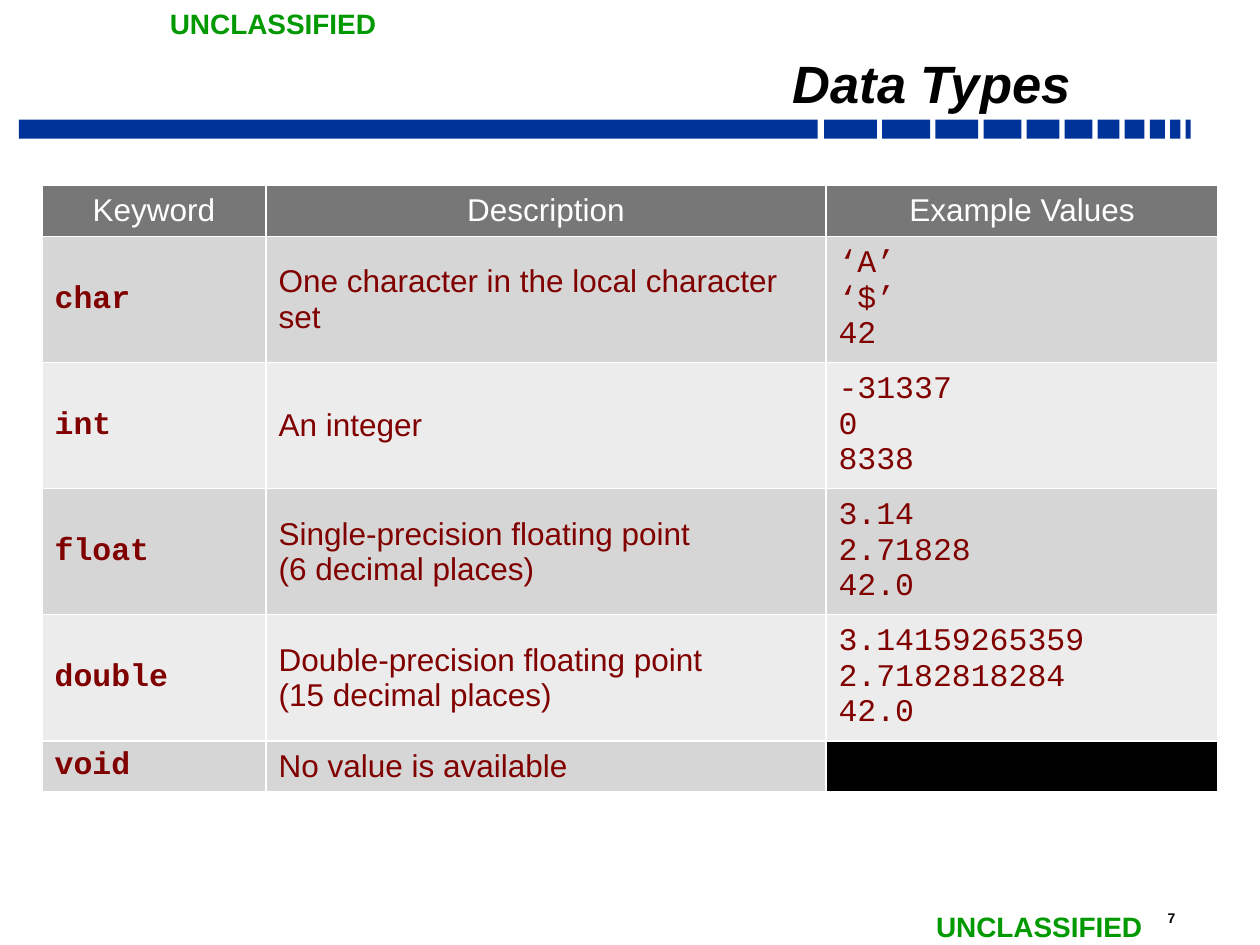
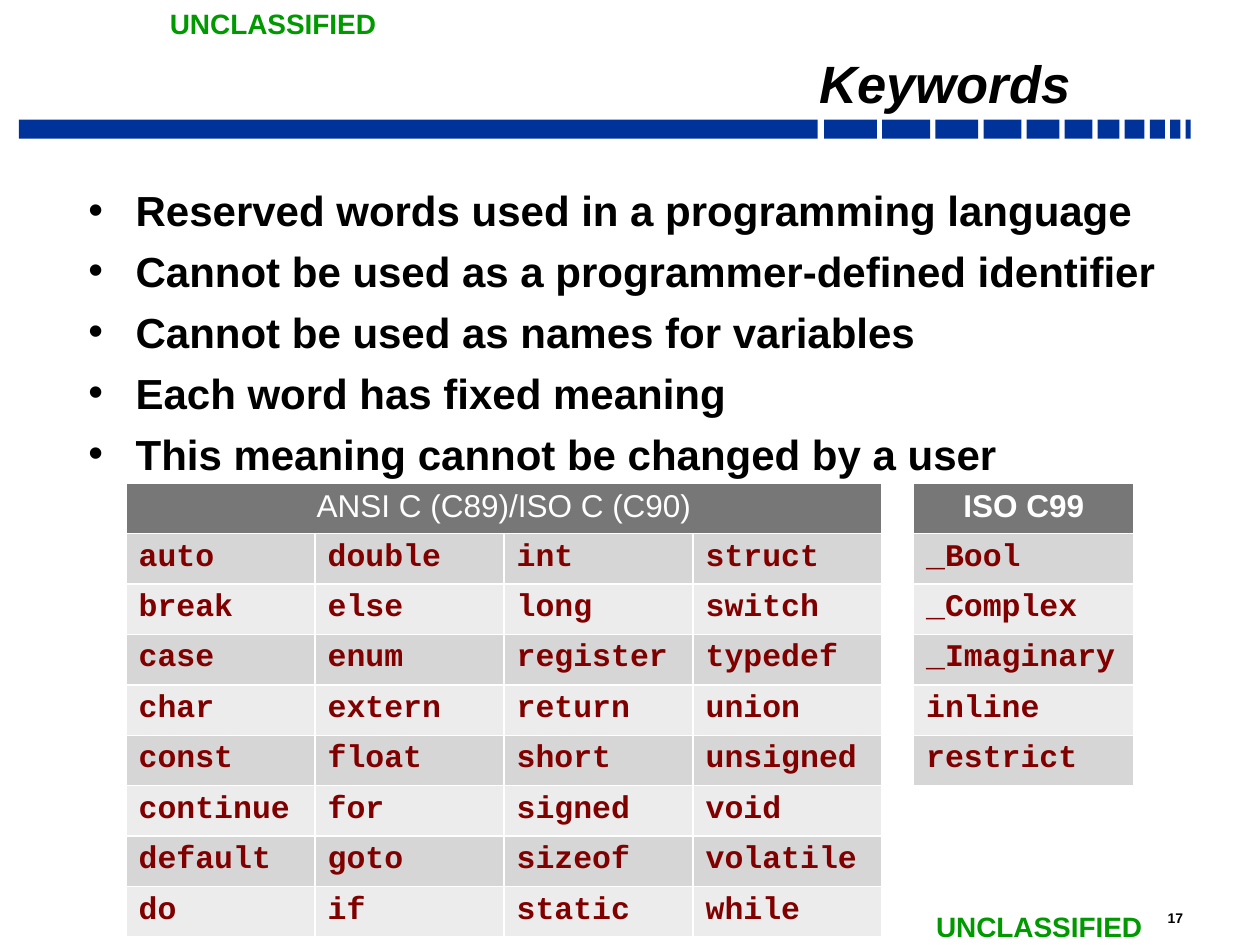
from dataclasses import dataclass

from lxml import etree
from pptx import Presentation
from pptx.dml.color import RGBColor
from pptx.enum.shapes import MSO_SHAPE
from pptx.enum.text import MSO_ANCHOR, MSO_AUTO_SIZE, PP_ALIGN
from pptx.oxml.ns import qn
from pptx.util import Pt

RECTANGLE = MSO_SHAPE.RECTANGLE
TOP, MIDDLE, BOTTOM = MSO_ANCHOR.TOP, MSO_ANCHOR.MIDDLE, MSO_ANCHOR.BOTTOM
LEFT, CENTER, RIGHT = PP_ALIGN.LEFT, PP_ALIGN.CENTER, PP_ALIGN.RIGHT
FIXED = MSO_AUTO_SIZE.NONE
TITLE_ONLY = 5


@dataclass(frozen=True)
class Theme:
    ink: str = "000000"
    white: str = "FFFFFF"
    band: str = "003399"
    marking: str = "009900"
    header: str = "777777"
    code: str = "800000"
    stripes: tuple = ("D6D6D6", "ECECEC")
    sans: str = "Arial"
    mono: str = "Courier New"
    title_size: float = 30
    bullet_size: float = 24
    table_size: float = 18
    marking_size: float = 16
    number_size: float = 8


MARKING = "UNCLASSIFIED"
MARKING_PLACES = ((90, 0), (527.8, 516.2))
BAND_TOP, BAND_HEIGHT = 68.4, 10.8
LONG_BAR = (10.8, 456.5)
SHORT_BARS_LEFT, BAR_GAP = 470.9, 3.02
SHORT_BARS = (30.2, 27.4, 24.5, 21.6, 18.7, 15.8, 12.4, 11.4, 8.6, 5.8, 2.9)

TYPE_ROWS = (
    ("Keyword", "Description", "Example Values"),
    ("char", "One character in the local character set", "‘A’\n‘$’\n42"),
    ("int", "An integer", "-31337\n0\n8338"),
    ("float", "Single-precision floating point\n(6 decimal places)", "3.14\n2.71828\n42.0"),
    ("double", "Double-precision floating point\n(15 decimal places)",
     "3.14159265359\n2.7182818284\n42.0"),
    ("void", "No value is available", ""),
)
KEYWORD_RULES = (
    "Reserved words used in a programming language",
    "Cannot be used as a programmer-defined identifier",
    "Cannot be used as names for variables",
    "Each word has fixed meaning",
    "This meaning cannot be changed by a user",
)
C90_ROWS = (
    ("ANSI C (C89)/ISO C (C90)", "", "", ""),
    ("auto", "double", "int", "struct"),
    ("break", "else", "long", "switch"),
    ("case", "enum", "register", "typedef"),
    ("char", "extern", "return", "union"),
    ("const", "float", "short", "unsigned"),
    ("continue", "for", "signed", "void"),
    ("default", "goto", "sizeof", "volatile"),
    ("do", "if", "static", "while"),
)
C99_ROWS = (("ISO C99",), ("_Bool",), ("_Complex",), ("_Imaginary",), ("inline",), ("restrict",))
KEYWORD_ROW = 27.65


class SlideBuilder:
    def __init__(self, deck, theme):
        self.deck = deck
        self.theme = theme
        self.page = None

    def start(self, title, number):
        self.page = self.deck.slides.add_slide(self.deck.slide_layouts[TITLE_ONLY])
        self.title(title)
        self.band()
        for left, top in MARKING_PLACES:
            self.label(MARKING, left, top, 133.9, 26.6,
                       self.theme.marking_size, self.theme.marking, wrap=False)
        self.label(str(number), 660.2, 516.2, 38.9, 16.6, self.theme.number_size, self.theme.ink)

    def style(self, frame, size, color, font=None, bold=False, italic=False, align=LEFT):
        for para in frame.paragraphs:
            para.alignment = align
            for span in para.runs:
                span.font.name = font or self.theme.sans
                span.font.size = Pt(size)
                span.font.bold = bold
                span.font.italic = italic
                span.font.color.rgb = RGBColor.from_string(color)

    def inset(self, frame):
        frame.margin_left = frame.margin_right = Pt(6.6)
        frame.margin_top = frame.margin_bottom = Pt(3.2)

    def title(self, text):
        box = self.page.shapes.title
        box.left, box.top, box.width, box.height = Pt(120.2), Pt(25.2), Pt(498.2), Pt(42.5)
        frame = box.text_frame
        frame.text = text
        frame.auto_size = FIXED
        frame.vertical_anchor = BOTTOM
        self.inset(frame)
        self.style(frame, self.theme.title_size, self.theme.ink, bold=True, italic=True, align=RIGHT)
        frame.paragraphs[0].line_spacing = 0.7

    def band(self):
        self.bar(*LONG_BAR)
        left = SHORT_BARS_LEFT
        for width in SHORT_BARS:
            self.bar(left, width)
            left += width + BAR_GAP

    def bar(self, left, width):
        shape = self.page.shapes.add_shape(
            RECTANGLE, Pt(left), Pt(BAND_TOP), Pt(width), Pt(BAND_HEIGHT))
        shape.shadow.inherit = False
        shape.fill.solid()
        shape.fill.fore_color.rgb = RGBColor.from_string(self.theme.band)
        shape.line.fill.background()

    def label(self, text, left, top, width, height, size, color, wrap=True):
        box = self.page.shapes.add_textbox(Pt(left), Pt(top), Pt(width), Pt(height))
        frame = box.text_frame
        frame.word_wrap = wrap
        frame.text = text
        self.style(frame, size, color, bold=True)

    def bullets(self, lines, left, top, width, height, indent=27):
        box = self.page.shapes.add_textbox(Pt(left), Pt(top), Pt(width), Pt(height))
        frame = box.text_frame
        frame.word_wrap = True
        frame.text = "\n".join(lines)
        self.inset(frame)
        self.style(frame, self.theme.bullet_size, self.theme.ink, bold=True)
        for para in frame.paragraphs:
            para.space_before = Pt(6)
            properties = para._p.get_or_add_pPr()
            properties.set("marL", str(Pt(indent)))
            properties.set("indent", str(-Pt(indent)))
            etree.SubElement(properties, qn("a:buFont"), typeface=self.theme.sans)
            etree.SubElement(properties, qn("a:buChar"), char="•")

    def table(self, rows, left, top, widths, heights, anchor=TOP, sans_columns=(),
              bold_columns=(), header_bold=False):
        theme = self.theme
        frame = self.page.shapes.add_table(
            len(rows), len(widths), Pt(left), Pt(top), Pt(sum(widths)), Pt(sum(heights)))
        table = frame.table
        for column, width in zip(table.columns, widths):
            column.width = Pt(width)
        for row, height in zip(table.rows, heights):
            row.height = Pt(height)
        for row_index, values in enumerate(rows):
            for column_index, value in enumerate(values):
                cell = table.cell(row_index, column_index)
                cell.text = value
                cell.vertical_anchor = anchor
                if row_index == 0:
                    self.paint(cell, theme.header)
                    self.style(cell.text_frame, theme.table_size, theme.white,
                               bold=header_bold, align=CENTER)
                else:
                    self.paint(cell, theme.stripes[(row_index - 1) % 2])
                    font = theme.sans if column_index in sans_columns else theme.mono
                    self.style(cell.text_frame, theme.table_size, theme.code, font,
                               bold=column_index in bold_columns)
        return table

    def paint(self, cell, color):
        cell.fill.solid()
        cell.fill.fore_color.rgb = RGBColor.from_string(color)
        properties = cell._tc.get_or_add_tcPr()
        for position, side in enumerate(("a:lnL", "a:lnR", "a:lnT", "a:lnB")):
            line = etree.Element(qn(side), w=str(Pt(1)))
            fill = etree.SubElement(line, qn("a:solidFill"))
            etree.SubElement(fill, qn("a:srgbClr"), val=self.theme.white)
            properties.insert(position, line)


def build_data_types(builder):
    builder.start("Data Types", 7)
    table = builder.table(TYPE_ROWS, 24, 106, (128, 320, 224), (29.2, *[68.5] * 4, 29.2),
                          anchor=MIDDLE, sans_columns=(1,), bold_columns=(0,))
    no_example = table.cell(len(TYPE_ROWS) - 1, 2)
    no_example.fill.fore_color.rgb = RGBColor.from_string(builder.theme.ink)


def build_keywords(builder):
    builder.start("Keywords", 17)
    builder.bullets(KEYWORD_RULES, 43.9, 102.2, 653, 372.2)
    c90 = builder.table(C90_ROWS, 72, 276, [108] * 4, [KEYWORD_ROW] * len(C90_ROWS),
                        bold_columns=range(4))
    c90.cell(0, 0).merge(c90.cell(0, 3))
    builder.table(C99_ROWS, 522, 276, [126], [KEYWORD_ROW] * len(C99_ROWS),
                  bold_columns=(0,), header_bold=True)


def main():
    deck = Presentation()
    deck.slide_width, deck.slide_height = Pt(720), Pt(540)
    builder = SlideBuilder(deck, Theme())
    build_data_types(builder)
    build_keywords(builder)
    deck.save("out.pptx")


if __name__ == "__main__":
    main()
